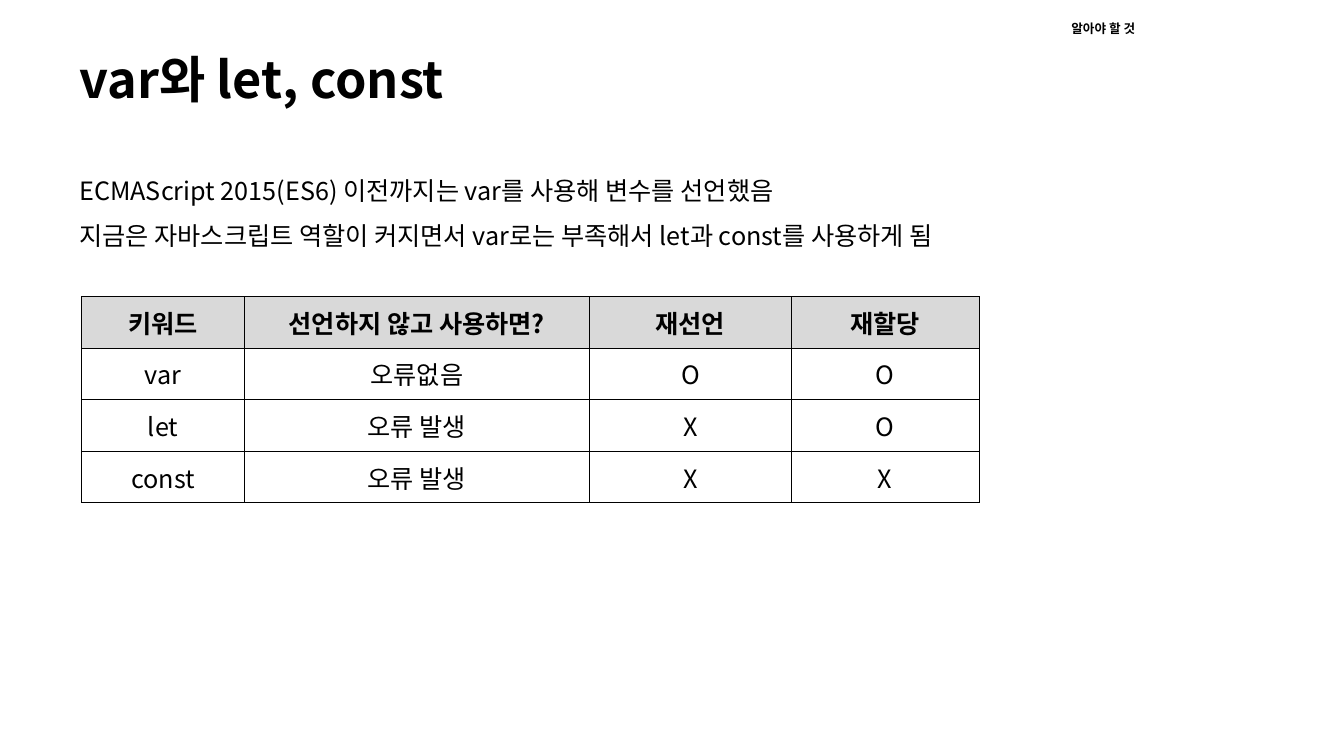
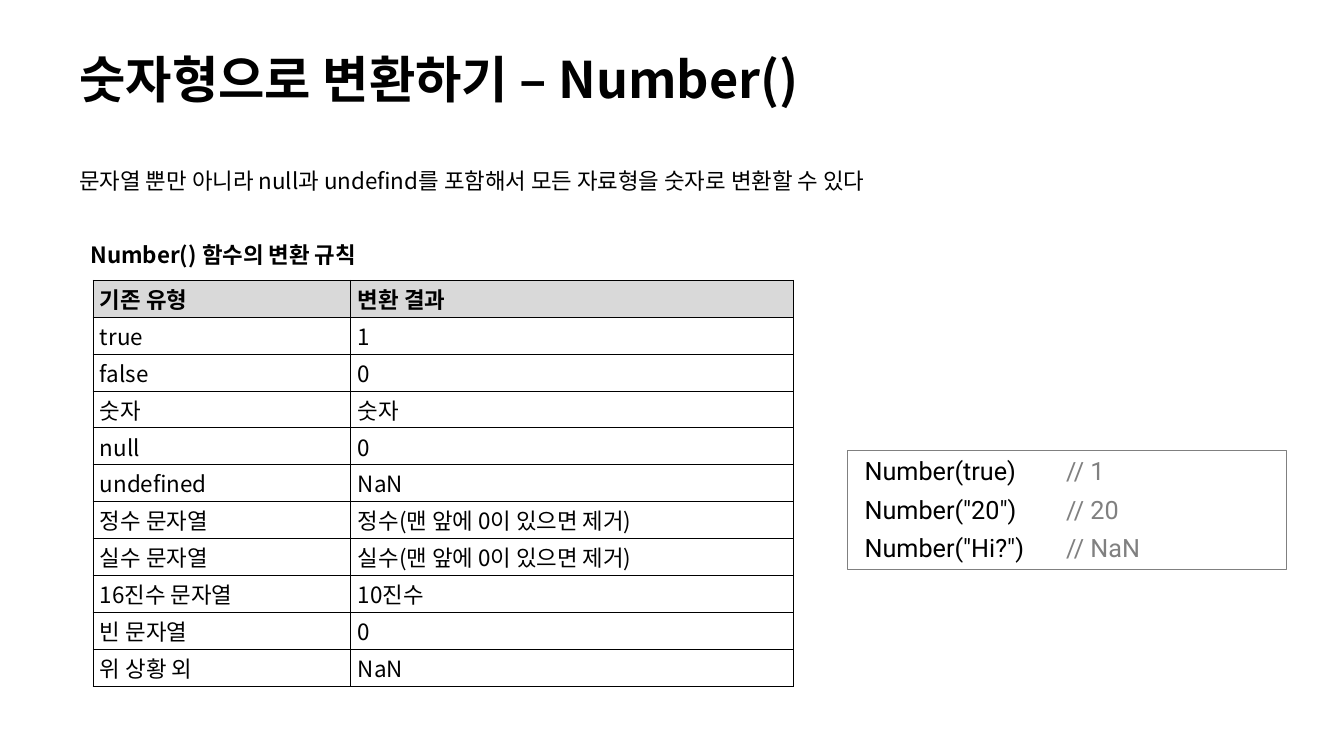
from lxml import etree
from pptx import Presentation
from pptx.dml.color import RGBColor
from pptx.enum import shapes, text
from pptx.oxml import ns
from pptx.util import Cm, Pt

COLOURS = {"ink": "000000", "header": "D9D9D9", "muted": "808080"}
BODY_FONT = "Noto Sans CJK KR"
CODE_FONT = "Roboto"
TITLE_BOX = (1.75, 0.89, 24.74, 2.34)

KEYWORD_ROWS = [
    ("키워드", "선언하지 않고 사용하면?", "재선언", "재할당"),
    ("var", "오류없음", "O", "O"),
    ("let", "오류 발생", "X", "O"),
    ("const", "오류 발생", "X", "X"),
]
CONVERSION_ROWS = [
    ("기존 유형", "변환 결과"),
    ("true", "1"),
    ("false", "0"),
    ("숫자", "숫자"),
    ("null", "0"),
    ("undefined", "NaN"),
    ("정수 문자열", "정수(맨 앞에 0이 있으면 제거)"),
    ("실수 문자열", "실수(맨 앞에 0이 있으면 제거)"),
    ("16진수 문자열", "10진수"),
    ("빈 문자열", "0"),
    ("위 상황 외", "NaN"),
]
CODE_LINES = [
    ("Number(true)", "// 1"),
    ('Number("20")', "// 20"),
    ('Number("Hi?")', "// NaN"),
]


def colour(name):
    return RGBColor.from_string(COLOURS[name])


def add_run(para, words, size, bold=False, font=BODY_FONT, ink="ink"):
    span = para.add_run()
    span.text = words
    span.font.size = Pt(size)
    span.font.bold = bold
    span.font.name = font
    span.font.color.rgb = colour(ink)
    latin = span.font._element.find(ns.qn("a:latin"))
    east_asian = etree.Element(ns.qn("a:ea"), typeface=font)
    latin.addnext(east_asian)


def add_page(deck, title):
    page = deck.slides.add_slide(deck.slide_layouts[5])
    heading = page.shapes.title
    heading.left, heading.top, heading.width, heading.height = map(Cm, TITLE_BOX)
    frame = heading.text_frame
    frame.auto_size = text.MSO_AUTO_SIZE.NONE
    frame.vertical_anchor = text.MSO_ANCHOR.MIDDLE
    para = frame.paragraphs[0]
    para.alignment = text.PP_ALIGN.LEFT
    para.line_spacing = 0.9
    add_run(para, title, 36, bold=True)
    return page


def add_text(page, box, lines, size, bold=False, spacing=1.0,
             anchor=text.MSO_ANCHOR.TOP):
    frame = page.shapes.add_textbox(*map(Cm, box)).text_frame
    frame.word_wrap = True
    frame.vertical_anchor = anchor
    for index, line in enumerate(lines):
        para = frame.add_paragraph() if index else frame.paragraphs[0]
        para.line_spacing = spacing
        add_run(para, line, size, bold)


def add_borders(cell):
    properties = cell._tc.get_or_add_tcPr()
    for index, side in enumerate(("lnL", "lnR", "lnT", "lnB")):
        line = etree.Element(ns.qn(f"a:{side}"), w=str(Pt(0.5)))
        fill = etree.SubElement(line, ns.qn("a:solidFill"))
        etree.SubElement(fill, ns.qn("a:srgbClr"), val=COLOURS["ink"])
        properties.insert(index, line)


def add_grid(page, left, top, widths, row_height, rows, size, alignment,
             margins=(0.25, 0.13)):
    table = page.shapes.add_table(
        len(rows), len(widths), Cm(left), Cm(top),
        Cm(sum(widths)), Cm(row_height * len(rows))).table
    table.first_row = table.horz_banding = False
    for column, width in zip(table.columns, widths):
        column.width = Cm(width)
    for row_index, (row, values) in enumerate(zip(table.rows, rows)):
        row.height = Cm(row_height)
        is_header = row_index == 0
        for cell, value in zip(row.cells, values):
            cell.vertical_anchor = text.MSO_ANCHOR.MIDDLE
            cell.margin_left = cell.margin_right = Cm(margins[0])
            cell.margin_top = cell.margin_bottom = Cm(margins[1])
            if is_header:
                cell.fill.solid()
                cell.fill.fore_color.rgb = colour("header")
            else:
                cell.fill.background()
            add_borders(cell)
            para = cell.text_frame.paragraphs[0]
            para.alignment = alignment
            add_run(para, value, size, bold=is_header)


def add_code(page, box, lines, comment_stop):
    panel = page.shapes.add_shape(shapes.MSO_SHAPE.RECTANGLE, *map(Cm, box))
    panel.shadow.inherit = False
    panel.fill.background()
    panel.line.color.rgb = colour("muted")
    panel.line.width = Pt(0.75)
    frame = panel.text_frame
    frame.word_wrap = True
    frame.vertical_anchor = text.MSO_ANCHOR.TOP
    for index, (call, comment) in enumerate(lines):
        para = frame.add_paragraph() if index else frame.paragraphs[0]
        para.alignment = text.PP_ALIGN.LEFT
        para.space_before = para.space_after = Pt(3)
        properties = para._p.get_or_add_pPr()
        properties.set("marL", str(Cm(0.18)))
        properties.set("indent", "0")
        stops = etree.SubElement(properties, ns.qn("a:tabLst"))
        etree.SubElement(stops, ns.qn("a:tab"), pos=str(Cm(comment_stop)), algn="l")
        add_run(para, call + "\t", 18, font=CODE_FONT)
        add_run(para, comment, 18, font=CODE_FONT, ink="muted")


def build_keywords(deck):
    page = add_page(deck, "var와 let, const")
    add_text(page, (1.75, 3.91, 28.85, 2.44), [
        "ECMAScript 2015(ES6) 이전까지는 var를 사용해 변수를 선언했음",
        "지금은 자바스크립트 역할이 커지면서 var로는 부족해서 let과 const를 사용하게 됨",
    ], 18, spacing=1.5)
    add_grid(page, 2.06, 7.47, (4.1, 8.69, 5.1, 4.72), 1.3, KEYWORD_ROWS, 18,
             text.PP_ALIGN.CENTER)
    add_text(page, (26.75, 0.66, 6.2, 0.23), ["알아야 할 것"], 9, bold=True,
             spacing=0.7, anchor=text.MSO_ANCHOR.MIDDLE)


def build_conversion(deck):
    page = add_page(deck, "숫자형으로 변환하기 – Number()")
    add_text(page, (1.75, 3.76, 25.15, 1.14), [
        "문자열 뿐만 아니라 null과 undefind를 포함해서 모든 자료형을 숫자로 변환할 수 있다",
    ], 16, spacing=1.5)
    add_text(page, (2.03, 5.94, 16.94, 0.94), ["Number() 함수의 변환 규칙"], 16,
             bold=True)
    add_grid(page, 2.34, 7.06, (6.5, 11.15), 0.93, CONVERSION_ROWS, 16,
             text.PP_ALIGN.JUSTIFY, margins=(0.18, 0))
    add_code(page, (21.36, 11.35, 11.07, 3), CODE_LINES, 4.47)


def main():
    deck = Presentation()
    deck.slide_width, deck.slide_height = Cm(33.87), Cm(19.05)
    build_keywords(deck)
    build_conversion(deck)
    deck.save("out.pptx")


if __name__ == "__main__":
    main()
